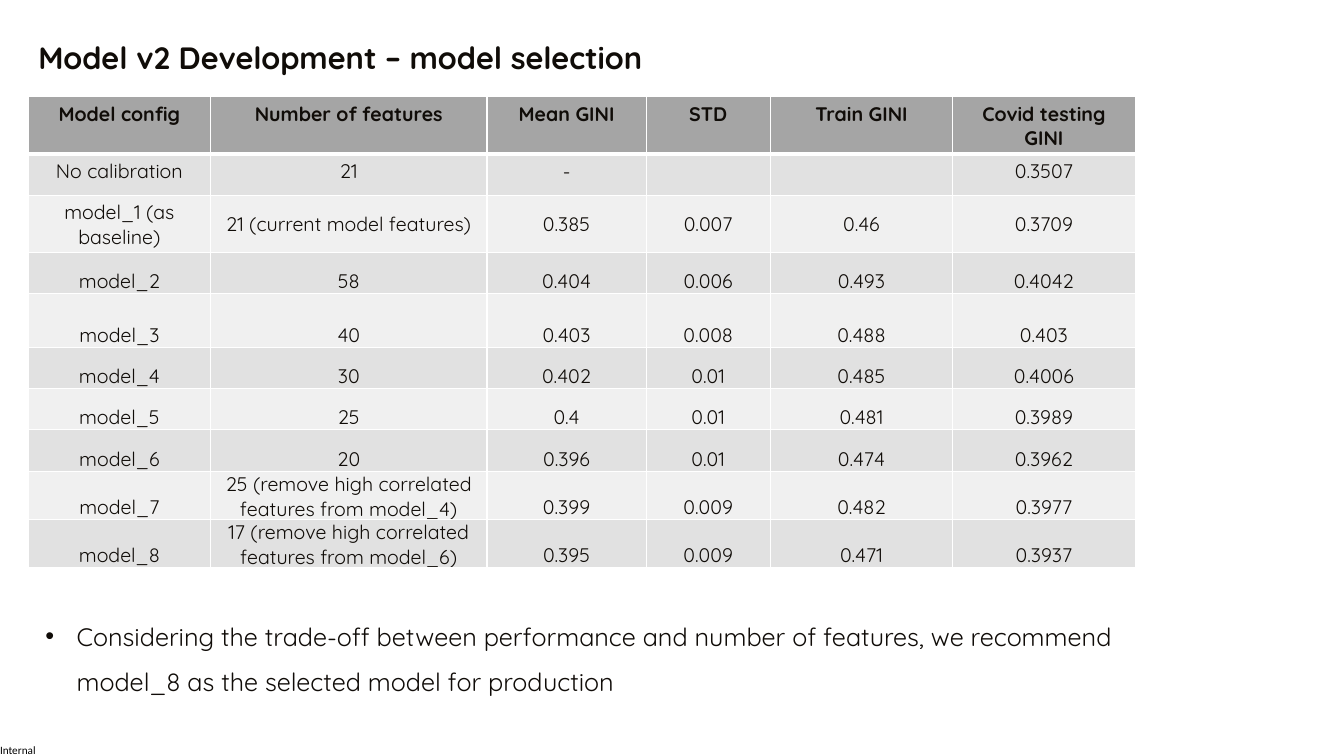
import dataclasses
import typing

import pptx
import pptx.dml.color
import pptx.enum.text
import pptx.oxml.ns
import pptx.util
from lxml import etree

EMU_PER_PX = 9144  # 100 px to the inch

COLOURS = {
    "ink": "100C08",
    "black": "000000",
    "rule": "FFFFFF",
    "header": "A5A5A5",
    "odd": "E1E1E1",
    "even": "F0F0F0",
}

ANCHOR = pptx.enum.text.MSO_ANCHOR
ALIGN = pptx.enum.text.PP_ALIGN
AUTO_SIZE = pptx.enum.text.MSO_AUTO_SIZE


def px(length: int) -> pptx.util.Emu:
    return pptx.util.Emu(length * EMU_PER_PX)


def rgb(name: str) -> pptx.dml.color.RGBColor:
    return pptx.dml.color.RGBColor.from_string(COLOURS[name])


@dataclasses.dataclass(frozen=True)
class Box:
    left: int
    top: int
    width: int
    height: int

    def emu(self) -> dict[str, pptx.util.Emu]:
        return {side: px(length) for side, length in dataclasses.asdict(self).items()}


@dataclasses.dataclass(frozen=True)
class TextStyle:
    size: int
    font: str = "Quicksand"
    colour: str = "ink"
    bold: bool = False


@dataclasses.dataclass(frozen=True)
class Result:
    config: str
    features: str
    mean: str
    std: str
    train: str
    covid: str
    height: int = 41
    anchor: ANCHOR = ANCHOR.BOTTOM


HEADER = Result("Model config", "Number of features", "Mean GINI", "STD",
                "Train GINI", "Covid testing GINI", anchor=ANCHOR.TOP)
RESULTS = [
    Result("No calibration", "21", "-", "", "", "0.3507", anchor=ANCHOR.TOP),
    Result("model_1 (as baseline)", "21 (current model features)",
           "0.385", "0.007", "0.46", "0.3709", anchor=ANCHOR.MIDDLE),
    Result("model_2", "58", "0.404", "0.006", "0.493", "0.4042"),
    Result("model_3", "40", "0.403", "0.008", "0.488", "0.403", height=53),
    Result("model_4", "30", "0.402", "0.01", "0.485", "0.4006"),
    Result("model_5", "25", "0.4", "0.01", "0.481", "0.3989"),
    Result("model_6", "20", "0.396", "0.01", "0.474", "0.3962"),
    Result("model_7", "25 (remove high correlated features from model_4)",
           "0.399", "0.009", "0.482", "0.3977"),
    Result("model_8", "17 (remove high correlated features from model_6)",
           "0.395", "0.009", "0.471", "0.3937", height=28),
]
COLUMN_WIDTHS = [181, 274, 158, 123, 181, 181]
TIGHT_MARGINS = {"margin_left": px(1), "margin_right": px(1),
                 "margin_top": px(1), "margin_bottom": px(0)}


def apply(target: typing.Any, values: dict[str, typing.Any]) -> None:
    for attribute, value in values.items():
        setattr(target, attribute, value)


def write(frame: typing.Any, text: str, style: TextStyle,
          paragraph_format: dict[str, typing.Any]) -> typing.Any:
    paragraph = frame.paragraphs[0]
    apply(paragraph, paragraph_format)
    if text:
        run = paragraph.add_run()
        run.text = text
        apply(run.font, {"size": pptx.util.Pt(style.size), "name": style.font,
                         "bold": style.bold})
        run.font.color.rgb = rgb(style.colour)
    return paragraph


def rule_cell(cell: typing.Any, widths: dict[str, int]) -> None:
    properties = cell._tc.get_or_add_tcPr()
    for side, points in widths.items():
        line = etree.SubElement(properties, pptx.oxml.ns.qn(f"a:ln{side}"),
                                w=str(pptx.util.Pt(points)))
        fill = etree.SubElement(line, pptx.oxml.ns.qn("a:solidFill"))
        etree.SubElement(fill, pptx.oxml.ns.qn("a:srgbClr"), val=COLOURS["rule"])


def add_results(slide: typing.Any, box: Box) -> None:
    rows = [HEADER, *RESULTS]
    table = slide.shapes.add_table(len(rows), len(COLUMN_WIDTHS), **box.emu()).table
    for column, width in zip(table.columns, COLUMN_WIDTHS):
        column.width = px(width)
    for index, result in enumerate(rows):
        is_header = index == 0
        fill = "header" if is_header else ("even", "odd")[index % 2]
        rules = {"L": 1, "R": 1, "T": 3 if index == 1 else 1, "B": 3 if is_header else 1}
        table.rows[index].height = px(result.height)
        texts = (result.config, result.features, result.mean,
                 result.std, result.train, result.covid)
        for cell, text in zip(table.rows[index].cells, texts):
            rule_cell(cell, rules)
            cell.fill.solid()
            cell.fill.fore_color.rgb = rgb(fill)
            cell.vertical_anchor = result.anchor
            if result.anchor == ANCHOR.BOTTOM:
                apply(cell, TIGHT_MARGINS)
            write(cell.text_frame, text, TextStyle(14, bold=is_header),
                  {"alignment": ALIGN.CENTER})


def add_bullet(paragraph: typing.Any, indent: int) -> None:
    properties = paragraph._p.get_or_add_pPr()
    properties.set("marL", str(px(indent)))
    properties.set("indent", str(px(-indent)))
    etree.SubElement(properties, pptx.oxml.ns.qn("a:buFont"), typeface="Arial")
    etree.SubElement(properties, pptx.oxml.ns.qn("a:buChar"), char="•")


def main() -> None:
    deck = pptx.Presentation()
    apply(deck, {"slide_width": px(1333), "slide_height": px(750)})
    slide = deck.slides.add_slide(deck.slide_layouts[1])

    # Title
    title = slide.shapes.title
    apply(title, Box(28, 22, 1214, 74).emu())
    apply(title.text_frame, {"vertical_anchor": ANCHOR.MIDDLE, "word_wrap": True,
                             "auto_size": AUTO_SIZE.NONE})
    write(title.text_frame, "Model v2 Development – model selection",
          TextStyle(22, bold=True), {"alignment": ALIGN.LEFT, "line_spacing": 0.9})

    # Model comparison
    add_results(slide, Box(28, 96, 1097, 478))

    # Recommendation
    recommendation = slide.placeholders[1]
    apply(recommendation, Box(35, 596, 1090, 95).emu())
    apply(recommendation.text_frame, {"vertical_anchor": ANCHOR.TOP, "word_wrap": True,
                                      "auto_size": AUTO_SIZE.SHAPE_TO_FIT_TEXT})
    advice = write(
        recommendation.text_frame,
        "Considering the trade-off between performance and number of features, "
        "we recommend model_8 as the selected model for production",
        TextStyle(18), {"line_spacing": 1.5, "space_before": pptx.util.Pt(0)})
    add_bullet(advice, 31)

    # Classification label
    classification = slide.shapes.add_textbox(**Box(0, 737, 38, 13).emu())
    apply(classification.text_frame,
          {"margin_left": 0, "margin_right": 0, "margin_top": 0, "margin_bottom": 0,
           "word_wrap": False, "auto_size": AUTO_SIZE.SHAPE_TO_FIT_TEXT})
    write(classification.text_frame, "Internal", TextStyle(8, "Calibri", "black"),
          {"alignment": ALIGN.LEFT})

    deck.save("out.pptx")


if __name__ == "__main__":
    main()
